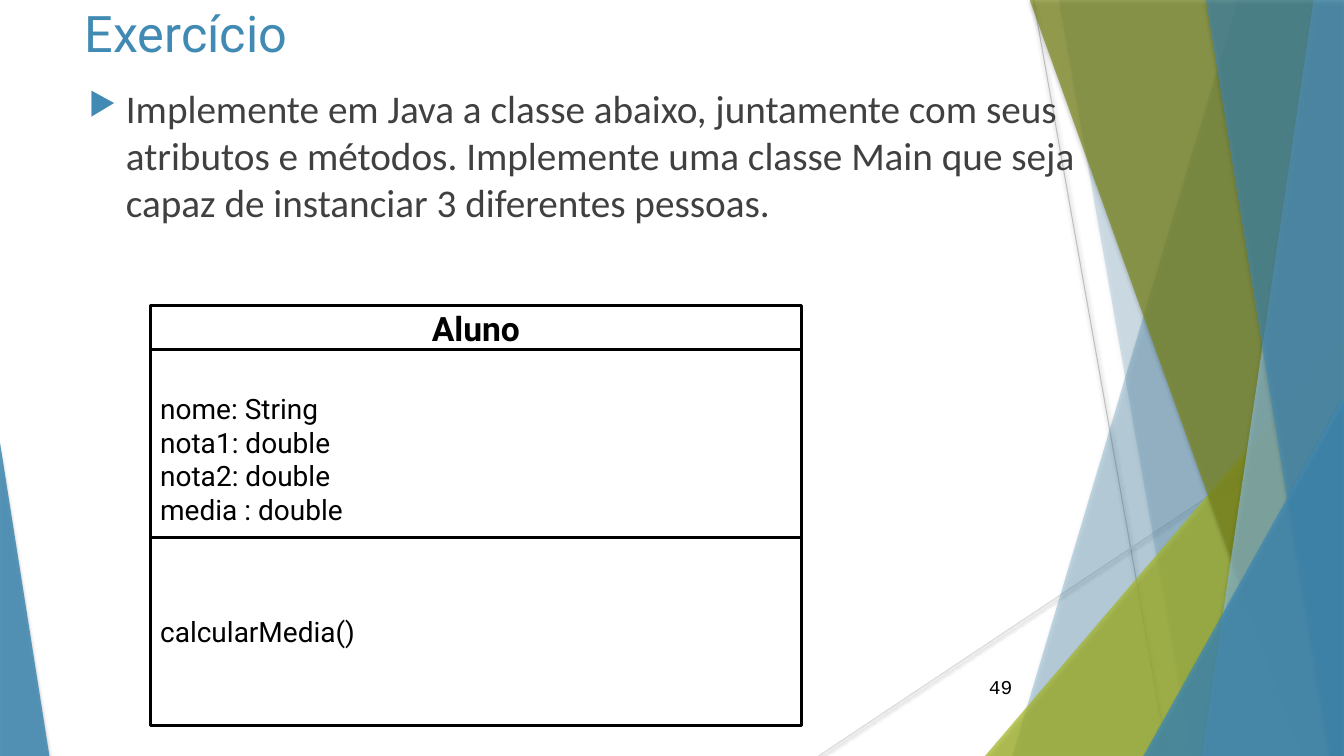
from lxml import etree
from pptx import Presentation
from pptx.dml.color import RGBColor
from pptx.enum.shapes import MSO_CONNECTOR, MSO_SHAPE
from pptx.enum.text import MSO_ANCHOR, PP_ALIGN
from pptx.oxml.ns import qn
from pptx.util import Pt

LINE = MSO_CONNECTOR.STRAIGHT
RECT, TRI = MSO_SHAPE.RECTANGLE, MSO_SHAPE.RIGHT_TRIANGLE
TRI = MSO_SHAPE.ISOSCELES_TRIANGLE
TOP, MID = MSO_ANCHOR.TOP, MSO_ANCHOR.MIDDLE
LEFT, MIDDLE, RIGHT = PP_ALIGN.LEFT, PP_ALIGN.CENTER, PP_ALIGN.RIGHT
PX = 9144
WIDE, HIGH = 1333, 750
BLUE, BLACK = "418AB3", "000000"
rgb = RGBColor.from_string


def shade(shape, alpha, blur, dist):
    fx = etree.SubElement(shape._element.spPr, qn("a:effectLst"))
    drop = etree.SubElement(fx, qn("a:outerShdw"), blurRad=str(Pt(blur)),
                            dist=str(Pt(dist)), dir="5400000", algn="ctr", rotWithShape="0")
    tone = etree.SubElement(drop, qn("a:srgbClr"), val=BLACK)
    etree.SubElement(tone, qn("a:alpha"), val=str(alpha * 1000))


def write(shape, text, font, size, color, align=LEFT, anchor=TOP, bold=False):
    frame = shape.text_frame
    frame.word_wrap = True
    frame.vertical_anchor = anchor
    frame.text = text
    for para in frame.paragraphs:
        para.alignment = align
        for run in para.runs:
            run.font.name = font
            run.font.size = Pt(size)
            run.font.bold = bold
            run.font.color.rgb = rgb(color)
    return frame


deck = Presentation()
deck.slide_width, deck.slide_height = WIDE * PX, HIGH * PX
slide = deck.slides.add_slide(deck.slide_layouts[6])
shapes = slide.shapes

for x1, y1, x2, y2, color in [
    (1025, 0, 1158, HIGH, "BFBFBF"),
    (WIDE, 403, 812, HIGH, "D9D9D9"),
]:
    line = shapes.add_connector(LINE, x1 * PX, y1 * PX, x2 * PX, y2 * PX)
    line.line.color.rgb = rgb(color)
    line.line.width = Pt(0.75)
    shade(line, 38, 3.1, 1.6)

for kind, nums, color, alpha in [
    ("band", (1228, 1004), BLUE, 30),
    ("band", (1050, 1182), BLUE, 20),
    ("tri", (977, 333, 356, 1), "A6B727", 72),
    ("band", (1021, 1291), "7D891D", 70),
    ("band", (1303, 1192), "8ABAD4", 70),
    ("band", (1196, 1318), BLUE, 65),
    ("tri", (1134, 393, 199, 1), BLUE, 80),
    ("tri", (0, 439, 49, 0), BLUE, 85),
]:
    if kind == "band":
        head, foot = nums
        form = shapes.build_freeform(head, -1, scale=PX)
        form.add_line_segments([(WIDE, -1), (WIDE, HIGH), (foot, HIGH)], close=True)
        facet = form.convert_to_shape()
    else:
        x, y, w, peak = nums
        facet = shapes.add_shape(TRI, x * PX, y * PX, w * PX, (HIGH - y) * PX)
        facet.adjustments[0] = peak
    facet.fill.solid()
    facet.fill.fore_color.rgb = rgb(color)
    tone = facet._element.spPr.find(qn("a:solidFill")).find(qn("a:srgbClr"))
    etree.SubElement(tone, qn("a:alpha"), val=str(alpha * 1000))
    facet.line.fill.background()
    shade(facet, 35, 3, 2)

title = shapes.add_textbox(74 * PX, -3 * PX, 940 * PX, 144 * PX)
write(title, "Exercício", "Roboto", 36, BLUE)

body = shapes.add_textbox(77 * PX, 79 * PX, 1049 * PX, 500 * PX)
task = ("Implemente em Java a classe abaixo, juntamente com seus atributos e métodos. "
        "Implemente uma classe Main que seja capaz de instanciar 3 diferentes pessoas.")
para = write(body, task, "Calibri", 28, "404040").paragraphs[0]
para.space_before = Pt(10)
props = para._p.get_or_add_pPr()
props.set("marL", str(38 * PX))
props.set("indent", str(-37 * PX))
tint = etree.SubElement(props, qn("a:buClr"))
etree.SubElement(tint, qn("a:srgbClr"), val=BLUE)
etree.SubElement(props, qn("a:buSzPct"), val="80000")
etree.SubElement(props, qn("a:buChar"), char="▶")

page = shapes.add_textbox(939 * PX, 661 * PX, 75 * PX, 40 * PX)
write(page, "49", "Courier New", 14, BLACK, RIGHT, MID)

fields = "nome: String\nnota1: double\nnota2: double\nmedia : double"
for y, h, text, size, align, bold, inset in [
    (303, 44, "Aluno", 24, MIDDLE, True, 5),
    (347, 187, fields, 20, LEFT, False, 34),
    (533, 187, "calcularMedia()", 20, LEFT, False, 5),
]:
    cell = shapes.add_shape(RECT, 149 * PX, y * PX, 646 * PX, h * PX)
    cell.shadow.inherit = False
    cell.fill.solid()
    cell.fill.fore_color.rgb = rgb("FFFFFF")
    cell.line.color.rgb = rgb(BLACK)
    cell.line.width = Pt(2)
    frame = write(cell, text, "Roboto", size, BLACK, align, MID, bold)
    frame.margin_top = inset * PX

deck.save("out.pptx")
